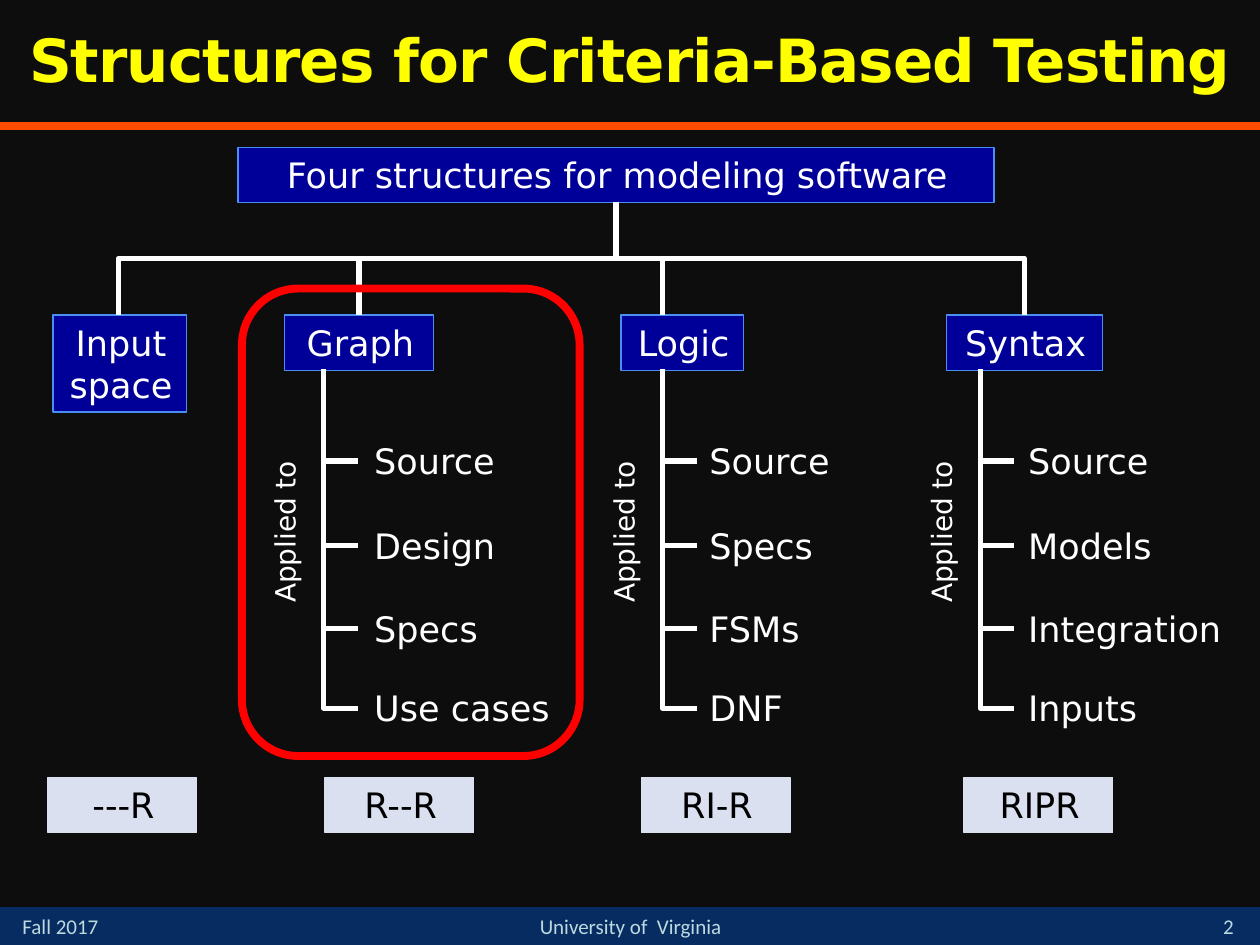
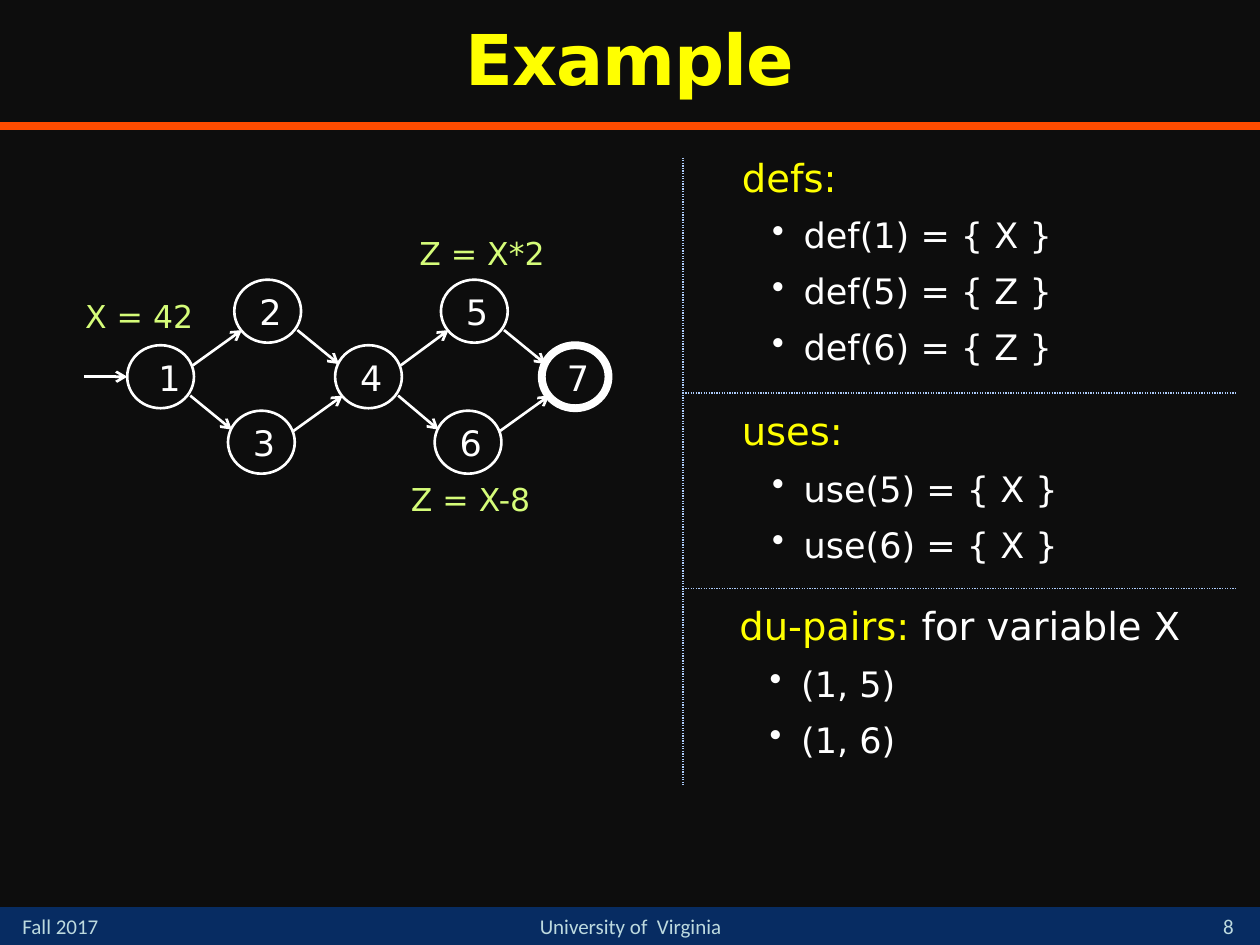
from dataclasses import dataclass

from lxml.etree import SubElement
from pptx import Presentation
from pptx.dml.color import RGBColor
from pptx.enum.dml import MSO_LINE
from pptx.enum.shapes import MSO_CONNECTOR, MSO_SHAPE
from pptx.enum.text import MSO_ANCHOR, MSO_AUTO_SIZE, PP_ALIGN
from pptx.oxml.ns import qn
from pptx.util import Pt

PX = 9144  # EMU in one px, 100 px to the inch


@dataclass(frozen=True)
class Theme:
    back: str = "0D0D0D"
    band: str = "072C62"
    rule: str = "FF4C00"
    footer: str = "BDDADF"
    accent: str = "FFFF00"
    ink: str = "FFFFFF"
    box: str = "000099"
    box_edge: str = "4A8EF2"
    tag: str = "DAE0EF"
    tag_ink: str = "000000"
    highlight: str = "FF0000"
    code: str = "D5FC79"
    divider: str = "ACCBF9"
    text_font: str = "DejaVu Sans"
    footer_font: str = "Calibri"
    heading_size: int = 22
    body_size: int = 20
    code_size: int = 18
    side_size: int = 16
    footer_size: int = 12


theme = Theme()


def add_box(page, at, spans=(), kind=None, fill=None, edge=None, weight=0.75,
            align=PP_ALIGN.LEFT, font=theme.text_font, holder=None, **frame_format):
    """Place a text box, a preset shape (kind) or a given holder.

    spans lists (text, size, colour); they make up the first paragraph.
    """
    left, top, width, height = (value * PX for value in at)
    if holder is not None:
        box = holder
        box.left, box.top, box.width, box.height = left, top, width, height
    elif kind is None:
        box = page.shapes.add_textbox(left, top, width, height)
    else:
        box = page.shapes.add_shape(kind, left, top, width, height)
        box.shadow.inherit = False
        if fill:
            box.fill.solid()
            box.fill.fore_color.rgb = RGBColor.from_string(fill)
        else:
            box.fill.background()
        if edge:
            box.line.color.rgb = RGBColor.from_string(edge)
            box.line.width = Pt(weight)
        else:
            box.line.fill.background()

    defaults = {"word_wrap": True, "auto_size": MSO_AUTO_SIZE.NONE,
                "vertical_anchor": MSO_ANCHOR.TOP}
    for name, value in (defaults | frame_format).items():
        setattr(box.text_frame, name, value)
    para = box.text_frame.paragraphs[0]
    para.alignment = align
    for text, size, color in spans:
        span = para.add_run()
        span.text = text
        for name, value in {"name": font, "size": Pt(size)}.items():
            setattr(span.font, name, value)
        span.font.color.rgb = RGBColor.from_string(color)
    return box


def add_link(page, start, end, color=theme.ink, weight=3, elbow=None, arrow=False):
    """Draw a straight line, or an elbow preset that leaves start downwards."""
    (x1, y1), (x2, y2) = start, end
    if elbow:
        # The elbow presets run sideways, so the frame is turned about its centre.
        across, down = abs(x2 - x1), y2 - y1
        left = (x1 + x2 - down) / 2
        top = (y1 + y2 - across) / 2
        corners = (left, top, left + down, top + across)
        link = page.shapes.add_connector(
            MSO_CONNECTOR.ELBOW, *(round(value * PX) for value in corners))
        frame = link.element.spPr.find(qn("a:xfrm"))
        frame.set("rot", str((270 if x2 > x1 else 90) * 60000))
        if x2 > x1:
            frame.set("flipH", "1")
        link.element.spPr.find(qn("a:prstGeom")).set("prst", elbow)
    else:
        link = page.shapes.add_connector(
            MSO_CONNECTOR.STRAIGHT, *(value * PX for value in (x1, y1, x2, y2)))
    link.line.color.rgb = RGBColor.from_string(color)
    link.line.width = Pt(weight)
    if arrow:
        SubElement(link.line._get_or_add_ln(), qn("a:tailEnd")).set("type", "arrow")
    SubElement(link.element.spPr, qn("a:effectLst"))
    return link


deck = Presentation()
deck.slide_width, deck.slide_height = 1000 * PX, 750 * PX
backdrop = deck.slide_master.background.fill
backdrop.solid()
backdrop.fore_color.rgb = RGBColor.from_string(theme.back)

# Title, band and footer of both pages
pages = []
for title, title_size, number in (
    ("Structures for Criteria-Based Testing", 34, "2"),
    ("Example", 40, "8"),
):
    page = deck.slides.add_slide(deck.slide_layouts[5])
    pages.append(page)
    add_box(page, (0, 720, 1000, 30), kind=MSO_SHAPE.RECTANGLE, fill=theme.band)
    add_link(page, (0, 100), (1000, 100), theme.rule, 4.5)
    for text, at, align, anchor in (
        ("Fall 2017", (8, 720, 117, 30), PP_ALIGN.LEFT, MSO_ANCHOR.TOP),
        (number, (950, 717, 50, 33), PP_ALIGN.CENTER, MSO_ANCHOR.BOTTOM),
        ("University of  Virginia", (367, 720, 267, 30), PP_ALIGN.CENTER, MSO_ANCHOR.TOP),
    ):
        add_box(page, at, [(text, theme.footer_size, theme.footer)], align=align,
                font=theme.footer_font, vertical_anchor=anchor)
    heading = add_box(page, (0, 0, 1000, 100), [(title, title_size, theme.accent)],
                      holder=page.shapes.title, align=PP_ALIGN.CENTER,
                      vertical_anchor=MSO_ANCHOR.MIDDLE)
    para = heading.text_frame.paragraphs[0]
    para.line_spacing = 0.9
    para.runs[0].font.bold = True
    para.runs[0].font._element.set("spc", "-50")

structures_page, example_page = pages

# Tree of structures
structure_boxes = (
    ("Four structures for modeling software", (189, 117, 600, 44)),
    ("Input space", (42, 250, 106, 77)),
    ("Graph", (226, 250, 118, 44)),
    ("Logic", (493, 250, 97, 44)),
    ("Syntax", (751, 250, 124, 44)),
)
for name, at in structure_boxes:
    add_box(structures_page, at, [(name, theme.body_size, theme.ink)],
            kind=MSO_SHAPE.RECTANGLE, fill=theme.box, edge=theme.box_edge,
            align=PP_ALIGN.CENTER, margin_left=12 * PX)

artifact_tops = (344, 411, 477, 540)
for stem, label_left, artifacts in (
    (257, 285, ("Source", "Design", "Specs", "Use cases")),
    (526, 551, ("Source", "Specs", "FSMs", "DNF")),
    (778, 804, ("Source", "Models", "Integration", "Inputs")),
):
    for artifact, top in zip(artifacts, artifact_tops):
        add_box(structures_page, (label_left, top, 185, 44),
                [(artifact, theme.body_size, theme.ink)], margin_left=12 * PX)
        add_link(structures_page, (stem, 293), (stem + 27, top + 22),
                 elbow="bentConnector2")
    side_label = add_box(structures_page, (stem - 112, 391, 162, 37),
                         [("Applied to", theme.side_size, theme.ink)],
                         margin_left=12 * PX)
    side_label.rotation = 270

for branch in (94, 285, 526, 813):
    add_link(structures_page, (489, 160), (branch, 250), elbow="bentConnector3")

add_box(structures_page, (192, 229, 268, 371), kind=MSO_SHAPE.ROUNDED_RECTANGLE,
        edge=theme.highlight, weight=4.5)

for tag, left in (("---R", 38), ("R--R", 258), ("RI-R", 509), ("RIPR", 765)):
    add_box(structures_page, (left, 617, 118, 44),
            [(tag, theme.body_size, theme.tag_ink)], kind=MSO_SHAPE.RECTANGLE,
            fill=theme.tag, edge=theme.tag, align=PP_ALIGN.CENTER,
            margin_left=12 * PX)

# Control flow graph
nodes = {1: (101, 274), 2: (186, 222), 3: (181, 326), 4: (266, 274),
         5: (350, 222), 6: (345, 326), 7: (430, 274)}
for node, (left, top) in nodes.items():
    add_box(example_page, (left, top, 53, 50), kind=MSO_SHAPE.OVAL, edge=theme.ink,
            weight=4.5 if node == 7 else 1.5)
    indent = 15 if node == 1 else 10
    add_box(example_page, (left + indent, top + 4, 33, 43),
            [(str(node), theme.body_size, theme.ink)], word_wrap=False)

add_link(example_page, (67, 299), (101, 299), weight=1.5, arrow=True)
for source, target in ((1, 2), (1, 3), (2, 4), (3, 4), (4, 5), (4, 6), (5, 7), (6, 7)):
    (x1, y1), (x2, y2) = nodes[source], nodes[target]
    if y2 < y1:
        start, end = (x1 + 52, y1 + 16), (x2 + 6, y2 + 40)
    else:
        start, end = (x1 + 50, y1 + 40), (x2 + 3, y2 + 15)
    add_link(example_page, start, end, weight=1.5, arrow=True)

for statement, at in (
    ("X = 42", (50, 231, 121, 40)),
    ("Z = X-8", (308, 376, 131, 40)),
    ("Z = X*2", (317, 181, 131, 40)),
):
    add_box(example_page, at, [(statement, theme.code_size, theme.code)],
            align=PP_ALIGN.CENTER)

# Definitions, uses and pairs
for at, heading, remark, items in (
    ((577, 117, 342, 193), "defs:", "",
     ("def(1) = { X }", "def(5) = { Z }", "def(6) = { Z }")),
    ((577, 318, 353, 150), "uses:", "", ("use(5) = { X }", "use(6) = { X }")),
    ((575, 473, 425, 160), "du-pairs: ", "for variable X", ("(1, 5)", "(1, 6)")),
):
    spans = [(heading, theme.heading_size, theme.accent)]
    if remark:
        spans.append((remark, theme.heading_size, theme.ink))
    section = add_box(example_page, at, spans)
    first = section.text_frame.paragraphs[0]
    first.space_after = Pt(3)
    first._p.get_or_add_pPr().set("marL", str(2 * PX))
    for item in items:
        para = section.text_frame.add_paragraph()
        for name, value in {"space_before": Pt(5), "space_after": Pt(3)}.items():
            setattr(para, name, value)
        span = para.add_run()
        span.text = item
        for name, value in {"name": theme.text_font, "size": Pt(theme.body_size)}.items():
            setattr(span.font, name, value)
        span.font.color.rgb = RGBColor.from_string(theme.ink)
        settings = para._p.get_or_add_pPr()
        settings.set("marL", str(51 * PX))
        settings.set("indent", str(-25 * PX))
        bullet_color = SubElement(settings, qn("a:buClr"))
        SubElement(bullet_color, qn("a:srgbClr")).set("val", theme.ink)
        SubElement(settings, qn("a:buChar")).set("char", "•")

for start, end in (
    ((542, 312), (982, 312)),
    ((542, 125), (542, 623)),
    ((542, 467), (982, 467)),
):
    divider = add_link(example_page, start, end, theme.divider, 0.75)
    divider.line.dash_style = MSO_LINE.ROUND_DOT

deck.save("out.pptx")
